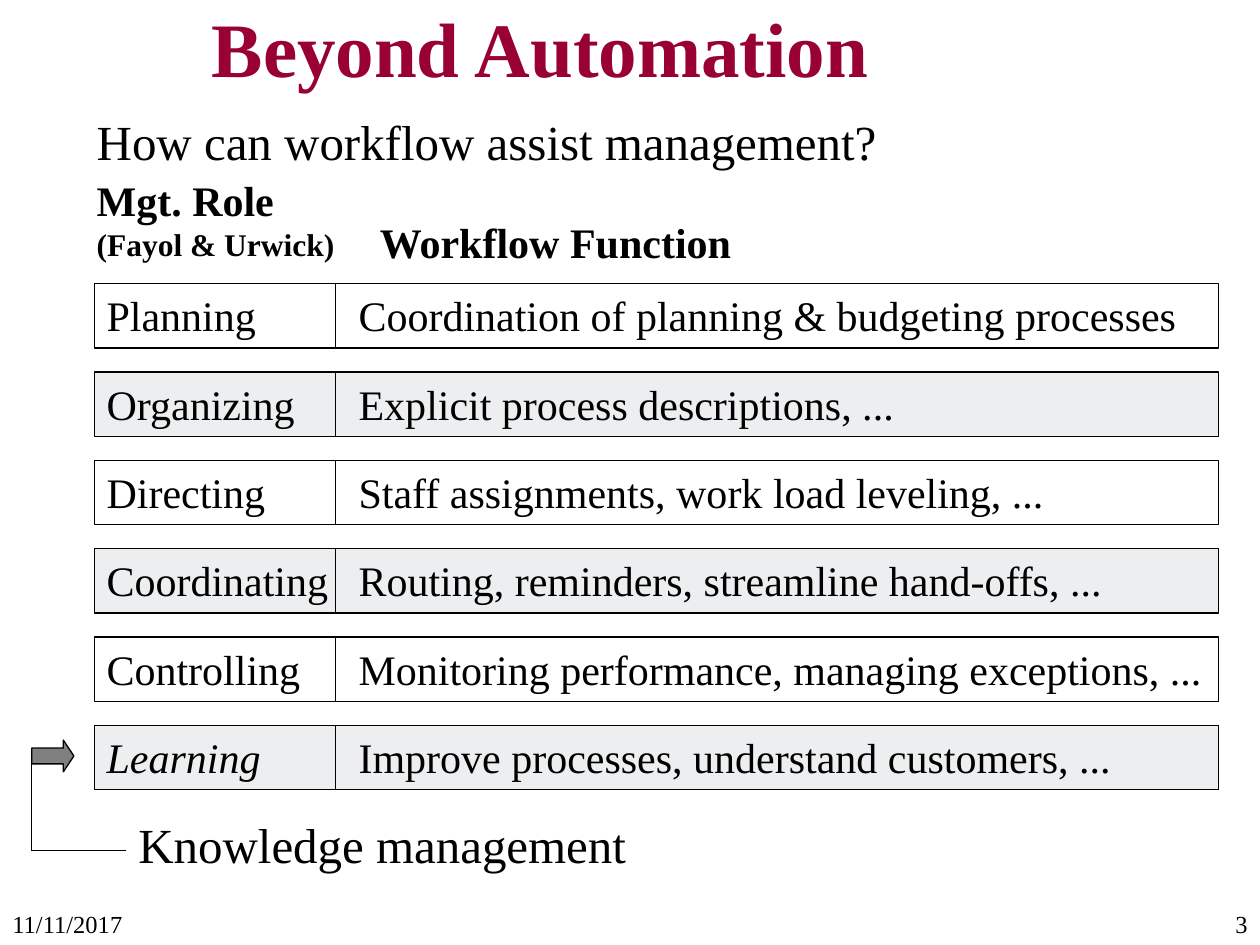
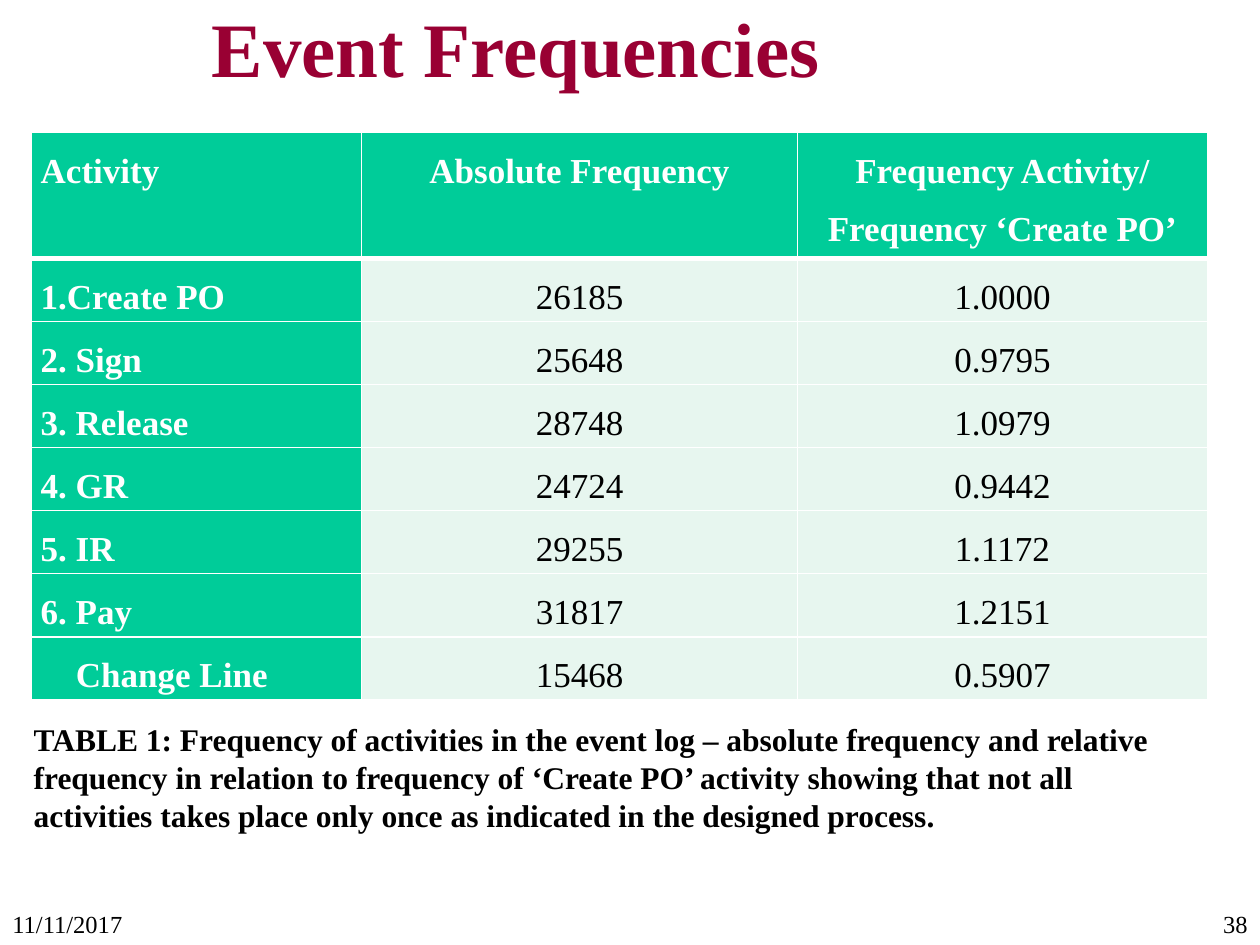
import pptx
import pptx.util
import pptx.dml.color
import pptx.enum.shapes
import pptx.enum.text
import pptx.oxml.ns
from lxml import etree

Cm, Pt = pptx.util.Cm, pptx.util.Pt
RGB = pptx.dml.color.RGBColor
ALIGN = pptx.enum.text.PP_ALIGN
ANCHOR = pptx.enum.text.MSO_ANCHOR
SHAPE = pptx.enum.shapes.MSO_SHAPE
qn = pptx.oxml.ns.qn

# Content
DATE = "11/11/2017"
MANAGEMENT_ROLES = [
    ("Planning", "Coordination of planning & budgeting processes"),
    ("Organizing", "Explicit process descriptions, ..."),
    ("Directing", "Staff assignments, work load leveling, ..."),
    ("Coordinating", "Routing, reminders, streamline hand-offs, ..."),
    ("Controlling", "Monitoring performance, managing exceptions, ..."),
    ("Learning", "Improve processes, understand customers, ..."),
]
HIGHLIGHTED_ROLE = "Learning"
FREQUENCIES = [
    ("Activity", "Absolute Frequency", "Frequency Activity/ Frequency ‘Create PO’"),
    ("1.Create PO", "26185", "1.0000"),
    ("2. Sign", "25648", "0.9795"),
    ("3. Release", "28748", "1.0979"),
    ("4. GR", "24724", "0.9442"),
    ("5. IR", "29255", "1.1172"),
    ("6. Pay", "31817", "1.2151"),
    ("Change Line", "15468", "0.5907"),
]
UNNUMBERED_ACTIVITY = "Change Line"
CAPTION = ("TABLE 1: Frequency of activities in the event log – absolute frequency and "
           "relative frequency in relation to frequency of ‘Create PO’ activity showing "
           "that not all activities takes place only once as indicated in the designed process.")

# Shared style
FONT = "Times New Roman"
BLACK = RGB(0x00, 0x00, 0x00)
WHITE = RGB(0xFF, 0xFF, 0xFF)
CRIMSON = RGB(0x99, 0x00, 0x33)
PALE_GREY = RGB(0xED, 0xEE, 0xEF)
MID_GREY = RGB(0x80, 0x80, 0x80)
GREEN = RGB(0x00, 0xCC, 0x99)
PALE_GREEN = RGB(0xE7, 0xF6, 0xEF)
LINE_WIDTH = Pt(0.75)


def style_runs(paragraph, size, color=BLACK, bold=False):
    for run in paragraph.runs:
        run.font.name = FONT
        run.font.size = Pt(size)
        run.font.color.rgb = color
        run.font.bold = bold


def add_text(slide, text, left, top, width, height, size, color=BLACK, bold=False,
             align=ALIGN.LEFT, anchor=ANCHOR.TOP):
    frame = slide.shapes.add_textbox(Cm(left), Cm(top), Cm(width), Cm(height)).text_frame
    frame.word_wrap = True
    frame.vertical_anchor = anchor
    paragraph = frame.paragraphs[0]
    paragraph.text = text
    paragraph.alignment = align
    style_runs(paragraph, size, color, bold)
    return paragraph


def add_outlined(slide, preset, left, top, width, height, fill=None):
    shape = slide.shapes.add_shape(preset, Cm(left), Cm(top), Cm(width), Cm(height))
    shape.shadow.inherit = False
    if fill is None:
        shape.fill.background()
    else:
        shape.fill.solid()
        shape.fill.fore_color.rgb = fill
    shape.line.color.rgb = BLACK
    shape.line.width = LINE_WIDTH
    return shape


def add_line(slide, x1, y1, x2, y2):
    line = slide.shapes.add_connector(pptx.enum.shapes.MSO_CONNECTOR.STRAIGHT,
                                      Cm(x1), Cm(y1), Cm(x2), Cm(y2))
    line.line.color.rgb = BLACK
    line.line.width = LINE_WIDTH
    etree.SubElement(line._element.spPr, qn("a:effectLst"))
    return line


def add_titled_slide(deck, title, number):
    slide = deck.slides.add_slide(deck.slide_layouts[6])
    add_text(slide, title, 4.02, 0.2, 21.38, 1.48, 44, CRIMSON, True, anchor=ANCHOR.MIDDLE)
    add_text(slide, DATE, 0, 18.2, 5.28, 0.85, 14)
    add_text(slide, number, 21.8, 18.2, 3.6, 0.85, 14, align=ALIGN.RIGHT)
    return slide


def build_roles_slide(deck):
    slide = add_titled_slide(deck, "Beyond Automation", "3")
    add_text(slide, "How can workflow assist management?", 1.7, 2.12, 22.65, 1.44, 28)

    # Column headings
    role_heading = add_text(slide, "Mgt. Role\v(Fayol & Urwick)", 1.7, 3.39, 8.13, 2.03,
                            24, bold=True)
    role_heading.runs[1].font.size = Pt(18)
    add_text(slide, "Workflow Function", 7.41, 4.23, 8.13, 1.27, 24, bold=True)

    # One bar per role, every second one shaded
    left, first_top, width, height, pitch, divider = 1.9, 5.72, 22.66, 1.3, 1.78, 6.77
    for i, (role, function) in enumerate(MANAGEMENT_ROLES):
        top = first_top + i * pitch
        bar = add_outlined(slide, SHAPE.RECTANGLE, left, top, width, height,
                           PALE_GREY if i % 2 else None)
        bar.text_frame.vertical_anchor = ANCHOR.TOP
        bar.text_frame.word_wrap = True
        paragraph = bar.text_frame.paragraphs[0]
        paragraph.text = role
        paragraph.add_run().text = "\t" + function
        paragraph.alignment = ALIGN.LEFT
        tabs = etree.SubElement(paragraph._p.get_or_add_pPr(), qn("a:tabLst"))
        etree.SubElement(tabs, qn("a:tab"), pos=str(Cm(5.08)), algn="l")
        style_runs(paragraph, 24)
        paragraph.runs[0].font.italic = role == HIGHLIGHTED_ROLE
        add_line(slide, divider, top, divider, top + height)

    # Knowledge management pointing at the last role
    pointer = add_outlined(slide, SHAPE.RIGHT_ARROW, 0.64, 14.92, 0.85, 0.64, MID_GREY)
    pointer.adjustments[1] = 0.33
    add_text(slide, "Knowledge management", 2.54, 16.3, 15.88, 1.44, 28)
    riser = add_line(slide, 0.64, 15.24, 0.64, 17.15)
    riser.begin_connect(pointer, 1)
    add_line(slide, 0.64, 17.15, 2.54, 17.15)


def set_borders(cell, bottom_width):
    properties = cell._tc.get_or_add_tcPr()
    for i, side in enumerate(("lnL", "lnR", "lnT", "lnB")):
        width = bottom_width if side == "lnB" else 1
        border = etree.Element(qn("a:" + side), w=str(Pt(width)))
        fill = etree.SubElement(border, qn("a:solidFill"))
        etree.SubElement(fill, qn("a:srgbClr"), val=str(WHITE))
        properties.insert(i, border)


def build_frequencies_slide(deck):
    slide = add_titled_slide(deck, "Event Frequencies", "38")
    column_widths = (6.65, 8.79, 8.26)
    header_height, row_height = 2.54, 1.21
    table = slide.shapes.add_table(
        len(FREQUENCIES), len(column_widths), Cm(0.64), Cm(2.67), Cm(sum(column_widths)),
        Cm(header_height + row_height * (len(FREQUENCIES) - 1))).table
    for column, width in zip(table.columns, column_widths):
        column.width = Cm(width)

    for r, values in enumerate(FREQUENCIES):
        table.rows[r].height = Cm(row_height if r else header_height)
        for c, value in enumerate(values):
            heading = r == 0 or c == 0
            cell = table.cell(r, c)
            cell.margin_left = cell.margin_right = Cm(0.18)
            cell.margin_top = cell.margin_bottom = 0
            cell.fill.solid()
            cell.fill.fore_color.rgb = GREEN if heading else PALE_GREEN
            set_borders(cell, 1 if r else 3)
            paragraph = cell.text_frame.paragraphs[0]
            paragraph.text = value
            paragraph.alignment = ALIGN.CENTER if c else ALIGN.JUSTIFY
            paragraph.line_spacing = 1.5
            paragraph.space_after = Pt(6)
            if value == UNNUMBERED_ACTIVITY:
                paragraph._p.get_or_add_pPr().set("marL", str(Cm(0.71)))
            style_runs(paragraph, 20, WHITE if heading else BLACK, heading)

    add_text(slide, CAPTION, 0.43, 14.4, 23.93, 3.33, 18, bold=True)


def main():
    deck = pptx.Presentation()
    deck.slide_width, deck.slide_height = Cm(25.4), Cm(19.05)
    build_roles_slide(deck)
    build_frequencies_slide(deck)
    deck.save("out.pptx")


if __name__ == "__main__":
    main()
